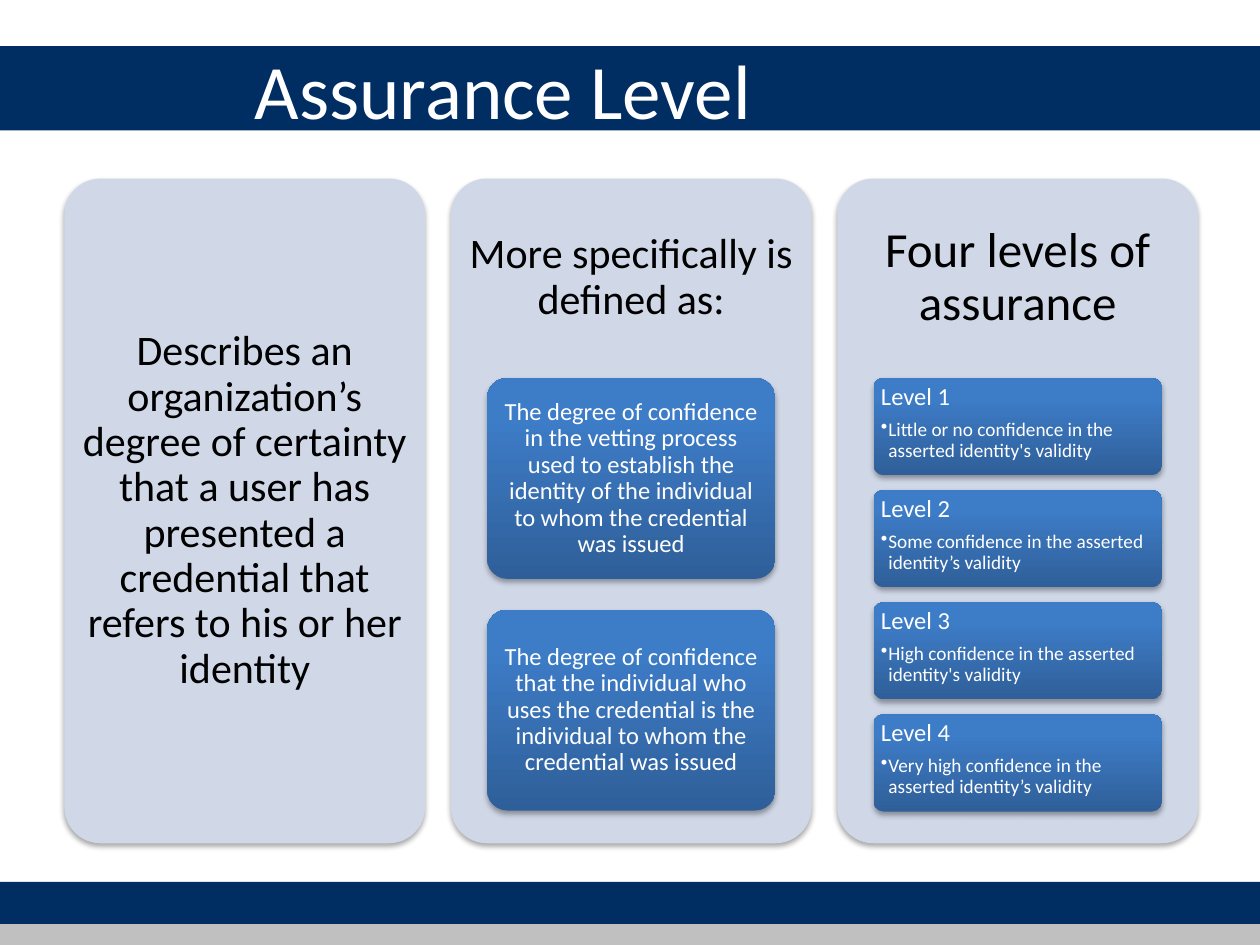
from dataclasses import dataclass

from lxml import etree
from pptx import Presentation, oxml
from pptx import util as u
from pptx.dml.color import RGBColor
from pptx.enum import shapes, text
from pptx.oxml.ns import qn

FONT = "Calibri"
NAVY, GREY, PALE = "002E62", "C0C0C0", "D0D8E8"
TILE_DARK, TILE_LIGHT = "2F5F99", "3D7CC7"
BLACK, WHITE = "000000", "FFFFFF"
DRAWING_NS = "http://schemas.openxmlformats.org/drawingml/2006/main"

SLIDE_WIDTH = 25.4
COLUMN_LEFT, COLUMN_TOP, COLUMN_PITCH = 1.3, 3.6, 7.79
COLUMN_WIDTH, COLUMN_HEIGHT = 7.27, 13.4
TILE_TOP, TILE_WIDTH = 7.62, 5.81
TILE_INDENT = (COLUMN_WIDTH - TILE_WIDTH) / 2
ROUNDING = 0.1


@dataclass
class Band:
    top: float
    height: float
    color: str


@dataclass
class Tile:
    heading: str
    detail: str = ""


@dataclass
class Column:
    heading: str
    size: float
    inset: float
    bottom_inset: float
    tiles: tuple[Tile, ...] = ()
    tile_height: float = 0
    tile_pitch: float = 0


BANDS = [Band(17.78, 0.85, NAVY), Band(0.93, 1.7, NAVY), Band(18.63, 0.42, GREY)]

COLUMNS = [
    Column("Describes an organization’s degree of certainty that a user has "
           "presented a credential that refers to his or her identity", 24, 0.21, 0.21),
    Column("More specifically is defined as:", 24, 0.25, 9.65, (
        Tile("The degree of confidence in the vetting process used to establish the "
             "identity of the individual to whom the credential was issued"),
        Tile("The degree of confidence that the individual who uses the credential is "
             "the individual to whom the credential was issued"),
    ), 4.05, 4.67),
    Column("Four levels of assurance", 28, 0.3, 9.68, (
        Tile("Level 1", "Little or no confidence in the asserted identity's validity"),
        Tile("Level 2", "Some confidence in the asserted identity’s validity"),
        Tile("Level 3", "High confidence in the asserted identity's validity"),
        Tile("Level 4", "Very high confidence in the asserted identity’s validity"),
    ), 1.96, 2.26),
]


def rgb(color: str) -> RGBColor:
    return RGBColor.from_string(color)


def add_shadow(shape) -> None:
    shape.shadow.inherit = False
    effects = shape._element.spPr.find(qn("a:effectLst"))
    effects.append(oxml.parse_xml(
        f'<a:outerShdw xmlns:a="{DRAWING_NS}" blurRad="40000" dist="23000" '
        f'dir="5400000" rotWithShape="0"><a:srgbClr val="{BLACK}">'
        '<a:alpha val="35000"/></a:srgbClr></a:outerShdw>'))


def add_band(page, band: Band) -> None:
    box = page.shapes.add_shape(shapes.MSO_SHAPE.RECTANGLE, 0, u.Cm(band.top),
                                u.Cm(SLIDE_WIDTH), u.Cm(band.height))
    box.shadow.inherit = False
    box.fill.solid()
    box.fill.fore_color.rgb = rgb(band.color)
    box.line.fill.background()


def add_card(page, left: float, top: float, width: float, height: float,
             insets: tuple[float, float, float, float]):
    """Add a rounded box; insets run left, top, right, bottom from its edges."""
    box = page.shapes.add_shape(shapes.MSO_SHAPE.ROUNDED_RECTANGLE,
                                u.Cm(left), u.Cm(top), u.Cm(width), u.Cm(height))
    box.adjustments[0] = ROUNDING
    box.line.fill.background()
    add_shadow(box)
    # A rounded rectangle already keeps its text clear of the corners.
    corner = 0.29 * ROUNDING * min(width, height)
    frame = box.text_frame
    frame.word_wrap = True
    frame.margin_left, frame.margin_top, frame.margin_right, frame.margin_bottom = (
        u.Cm(max(inset - corner, 0)) for inset in insets)
    return box


def write(para, content: str, size: float, color: str, align) -> None:
    para.alignment = align
    para.line_spacing = 0.9
    span = para.add_run()
    span.text = content
    span.font.size = u.Pt(size)
    span.font.name = FONT
    span.font.color.rgb = rgb(color)


def add_bullet(para) -> None:
    properties = para._p.get_or_add_pPr()
    properties.set("marL", str(u.Cm(0.15)))
    properties.set("indent", str(-u.Cm(0.15)))
    etree.SubElement(properties, qn("a:buChar")).set("char", "•")


def add_tile(page, tile: Tile, left: float, top: float, height: float) -> None:
    insets = (0.15, 0.13, 0.15, 0.13) if tile.detail else (0.23, 0.2, 0.23, 0.2)
    box = add_card(page, left, top, TILE_WIDTH, height, insets)
    box.fill.gradient()
    box.fill.gradient_angle = 90
    stops = zip(box.fill.gradient_stops, (0, 0.8), (TILE_DARK, TILE_LIGHT))
    for stop, position, color in stops:
        stop.position = position
        stop.color.rgb = rgb(color)
    frame = box.text_frame
    heading = frame.paragraphs[0]
    if not tile.detail:
        frame.vertical_anchor = text.MSO_ANCHOR.MIDDLE
        write(heading, tile.heading, 14, WHITE, text.PP_ALIGN.CENTER)
        return
    frame.vertical_anchor = text.MSO_ANCHOR.TOP
    write(heading, tile.heading, 14, WHITE, text.PP_ALIGN.LEFT)
    heading.space_after = u.Pt(5)
    detail = frame.add_paragraph()
    detail.level = 1
    add_bullet(detail)
    write(detail, tile.detail, 11, WHITE, text.PP_ALIGN.LEFT)


def add_column(page, column: Column, left: float) -> None:
    insets = (column.inset, column.inset, column.inset, column.bottom_inset)
    box = add_card(page, left, COLUMN_TOP, COLUMN_WIDTH, COLUMN_HEIGHT, insets)
    box.fill.solid()
    box.fill.fore_color.rgb = rgb(PALE)
    box.text_frame.vertical_anchor = text.MSO_ANCHOR.MIDDLE
    write(box.text_frame.paragraphs[0], column.heading, column.size, BLACK,
          text.PP_ALIGN.CENTER)
    for row, tile in enumerate(column.tiles):
        add_tile(page, tile, left + TILE_INDENT, TILE_TOP + row * column.tile_pitch,
                 column.tile_height)


def set_title(page, content: str) -> None:
    """Fill the title placeholder and bring it in front of the bands."""
    title = page.shapes.title
    page.shapes._spTree.append(title._element)
    title.left, title.top = u.Cm(4.88), u.Cm(0.2)
    title.width, title.height = u.Cm(20.12), u.Cm(3.18)
    title.text_frame.vertical_anchor = text.MSO_ANCHOR.MIDDLE
    para = title.text_frame.paragraphs[0]
    para.alignment = text.PP_ALIGN.LEFT
    span = para.add_run()
    span.text = content
    span.font.size = u.Pt(44)
    span.font.name = FONT
    span.font.color.rgb = rgb(WHITE)


def main() -> None:
    deck = Presentation()
    deck.slide_width, deck.slide_height = u.Cm(SLIDE_WIDTH), u.Cm(19.05)
    page = deck.slides.add_slide(deck.slide_layouts[5])
    for band in BANDS:
        add_band(page, band)
    set_title(page, "Assurance Level")
    for index, column in enumerate(COLUMNS):
        add_column(page, column, COLUMN_LEFT + index * COLUMN_PITCH)
    deck.save("out.pptx")


if __name__ == "__main__":
    main()
